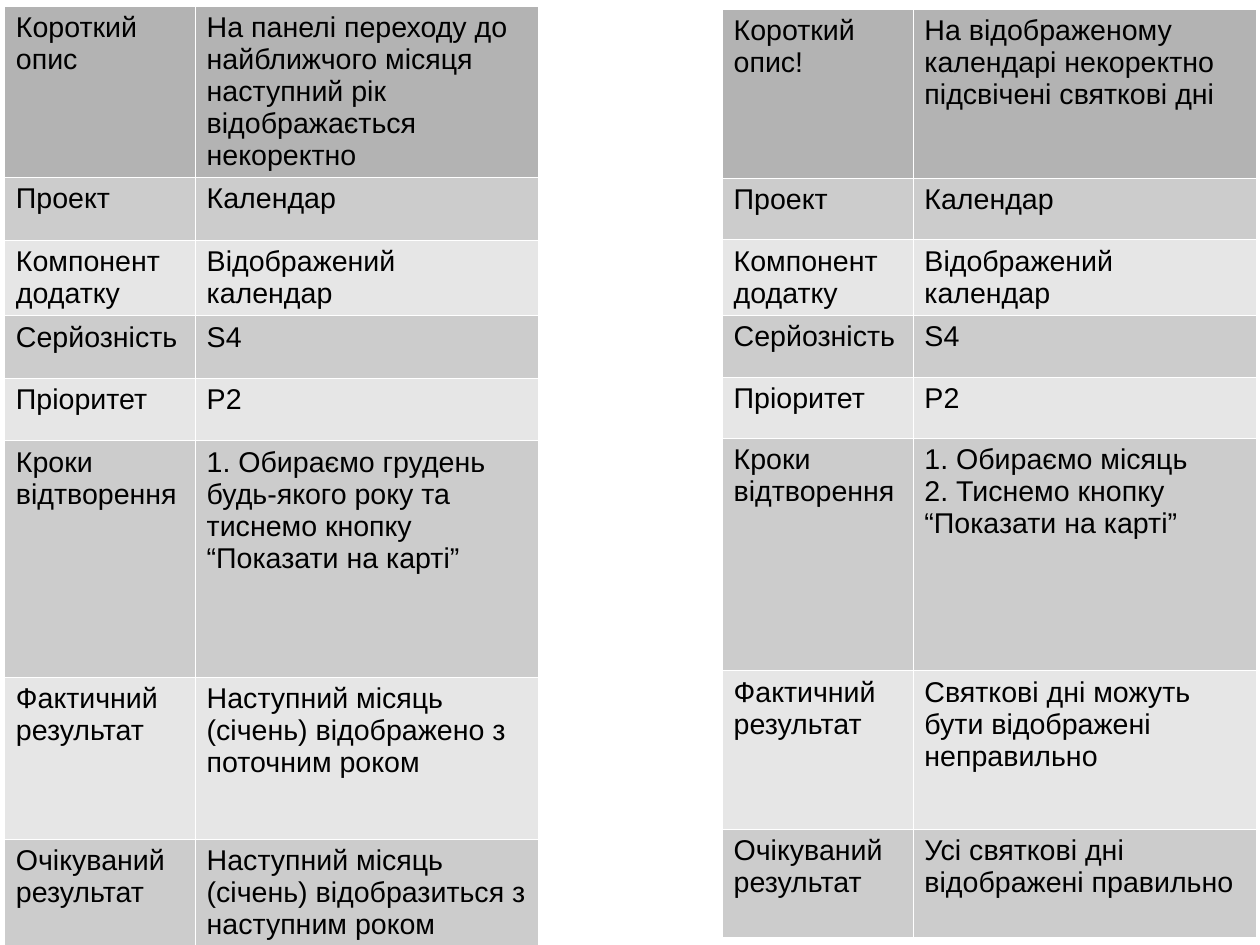
from lxml import etree
from pptx import Presentation
from pptx import util as u
from pptx.dml.color import RGBColor
from pptx.oxml import ns

BLACK = RGBColor(0x00, 0x00, 0x00)
WHITE = RGBColor(0xFF, 0xFF, 0xFF)
HEAD = RGBColor(0xB3, 0xB3, 0xB3)
DARK = RGBColor(0xCC, 0xCC, 0xCC)
LIGHT = RGBColor(0xE6, 0xE6, 0xE6)

COLUMNS = (4.24, 7.62)
LABELS = ("Короткий опис", "Проект", "Компонент додатку", "Серйозність",
          "Пріоритет", "Кроки відтворення", "Фактичний результат",
          "Очікуваний результат")
COMMON = ("Календар", "Відображений календар", "S4", "P2")


def write(tf, content, font="Arial", size=18, color=BLACK, bold=False):
    """Fill a text frame, one paragraph per line of content."""
    for i, line in enumerate(content.split("\n")):
        p = tf.paragraphs[0] if i == 0 else tf.add_paragraph()
        r = p.add_run()
        r.text = line
        r.font.name = font
        r.font.size = u.Pt(size)
        r.font.bold = bold
        r.font.color.rgb = color


class ReportSlide:
    def __init__(self, s, line_color=WHITE, line_width=u.Pt(0.06)):
        self.s = s
        self.line_color = line_color
        self.line_width = line_width

    def borders(self, cell):
        tc_pr = cell._tc.get_or_add_tcPr()
        for side in ("a:lnL", "a:lnR", "a:lnT", "a:lnB"):
            ln = etree.SubElement(tc_pr, ns.qn(side), w=str(self.line_width))
            fill = etree.SubElement(ln, ns.qn("a:solidFill"))
            etree.SubElement(fill, ns.qn("a:srgbClr"), val=str(self.line_color))

    def cell(self, cell, content, fill):
        self.borders(cell)
        cell.fill.solid()
        cell.fill.fore_color.rgb = fill
        write(cell.text_frame, content)

    def table(self, left, top, heights, rows):
        sp = self.s.shapes.add_table(
            len(rows), len(COLUMNS), u.Cm(left), u.Cm(top),
            u.Cm(sum(COLUMNS)), u.Cm(sum(heights)))
        table = sp.table
        table.first_row = table.horz_banding = False
        for column, width in zip(table.columns, COLUMNS):
            column.width = u.Cm(width)
        for i, (height, row) in enumerate(zip(heights, rows)):
            table.rows[i].height = u.Cm(height)
            fill = HEAD if i == 0 else DARK if i % 2 else LIGHT
            for j, content in enumerate(row):
                self.cell(table.cell(i, j), content, fill)


def main():
    prs = Presentation()
    prs.slide_width, prs.slide_height = u.Cm(28), u.Cm(21)
    report = ReportSlide(prs.slides.add_slide(prs.slide_layouts[6]))

    # Right report: holidays
    holidays = (
        "На відображеному календарі некоректно підсвічені святкові дні",
        *COMMON,
        "1. Обираємо місяць\n2. Тиснемо кнопку “Показати на карті”",
        "Святкові дні можуть бути відображені неправильно",
        "Усі святкові дні відображені правильно")
    labels = (LABELS[0] + "!", *LABELS[1:])
    report.table(16.05, 0.2, (3.75, 1.37, 1.68, 1.37, 1.37, 5.16, 3.53, 2.39),
                 list(zip(labels, holidays)))

    # Left report: next year
    next_year = (
        "На панелі переходу до найближчого місяця наступний рік "
        "відображається некоректно",
        *COMMON,
        "1. Обираємо грудень будь-якого року та тиснемо кнопку "
        "“Показати на карті”",
        "Наступний місяць (січень) відображено з поточним роком",
        "Наступний місяць (січень) відобразиться з наступним роком")
    report.table(0.1, 0.13, (3.81, 1.39, 1.68, 1.39, 1.39, 5.25, 3.6, 2.21),
                 list(zip(LABELS, next_year)))

    prs.save("out.pptx")


if __name__ == "__main__":
    main()
